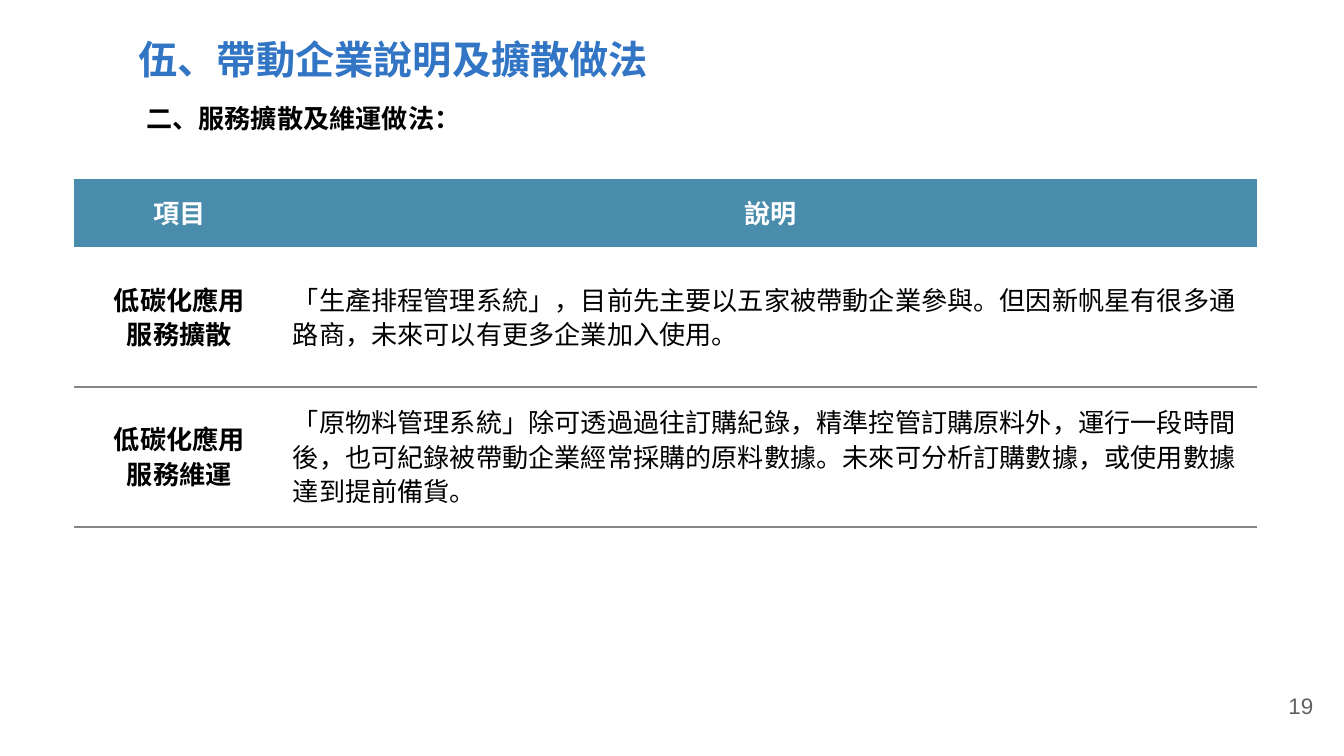
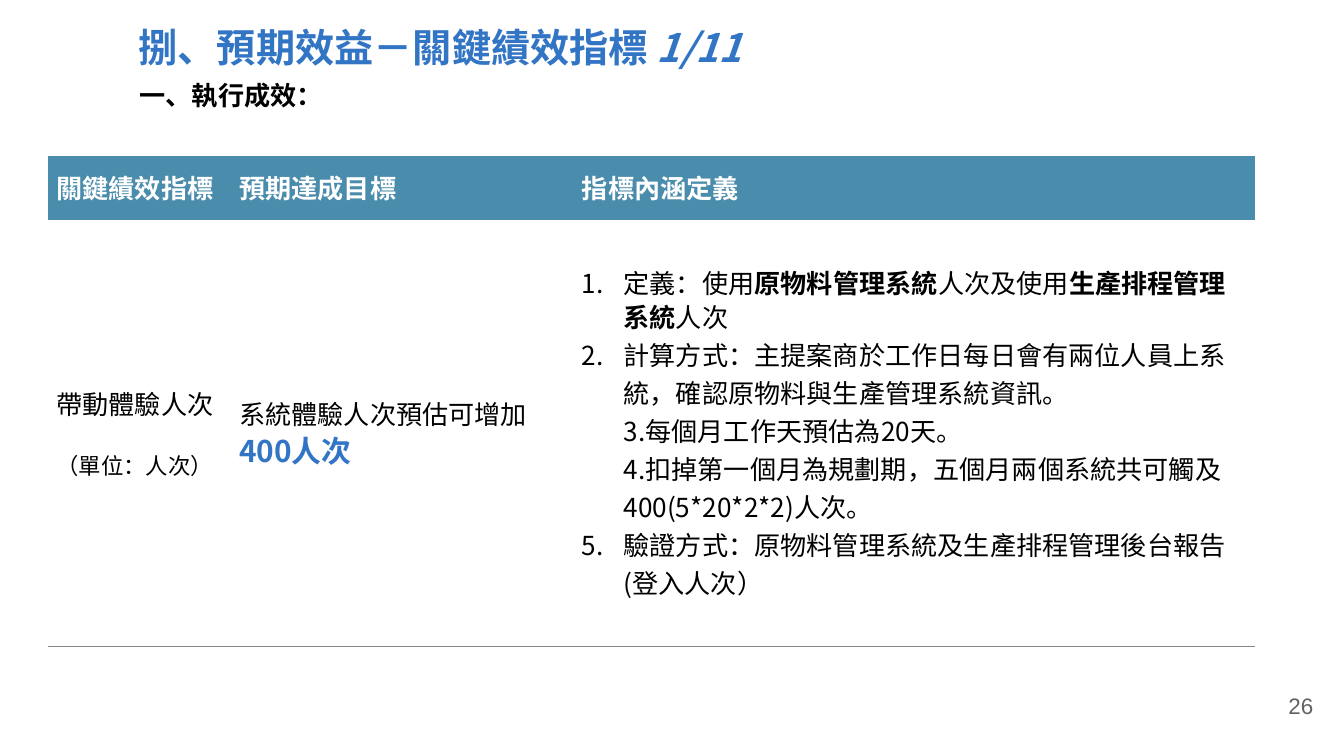
from lxml import etree
from pptx import Presentation
from pptx.dml.color import RGBColor
from pptx.enum.text import MSO_ANCHOR, MSO_AUTO_SIZE, PP_ALIGN
from pptx.oxml.ns import qn
from pptx.util import Inches, Pt

LEFT, CENTER, RIGHT = PP_ALIGN.LEFT, PP_ALIGN.CENTER, PP_ALIGN.RIGHT
MIDDLE = MSO_ANCHOR.MIDDLE
GROW = MSO_AUTO_SIZE.SHAPE_TO_FIT_TEXT

WIDTH = 10
HEIGHT = WIDTH * 9 / 16
TITLE_ONLY = 5
NO_TABLE_STYLE = "{2D5ABB26-0587-4C30-8999-92F81FD0307C}"
FONT, NUMBER_FONT = "Noto Sans CJK SC", "Arial"
BLUE, TEAL, RULE = "3275C5", "4A8CAC", "868686"
BLACK, WHITE, GREY = "000000", "FFFFFF", "636263"
TIGHT = 0.91
BOLD = {"bold": True}


def rgb(color):
    return RGBColor.from_string(color)


def place(sp, left, top, width, height):
    sp.left, sp.top = Inches(left), Inches(top)
    sp.width, sp.height = Inches(width), Inches(height)


def style_run(r, size=14, color=BLACK, bold=False, italic=False, font=FONT):
    r.font.size, r.font.name = Pt(size), font
    r.font.bold, r.font.italic = bold, italic
    r.font.color.rgb = rgb(color)
    ea = etree.SubElement(r.font._element, qn("a:ea"))
    ea.set("typeface", font)


def indent(p, left, first=0):
    pPr = p._p.get_or_add_pPr()
    pPr.set("marL", str(Inches(left)))
    pPr.set("indent", str(Inches(first)))


def number(p):
    bullet = etree.SubElement(p._p.get_or_add_pPr(), qn("a:buAutoNum"))
    bullet.set("type", "arabicPeriod")


def write(tf, paragraphs, align=LEFT, spacing=None, **style):
    """Fill a frame; a paragraph is a string or a list of (text, style) runs."""
    for i, runs in enumerate(paragraphs):
        p = tf.add_paragraph() if i else tf.paragraphs[0]
        p.alignment = align
        if spacing:
            p.line_spacing = spacing
        for text, own in [(runs, {})] if isinstance(runs, str) else runs:
            r = p.add_run()
            r.text = text
            style_run(r, **{**style, **own})


def rule_below(cell):
    tcPr = cell._tc.get_or_add_tcPr()
    ln = etree.Element(qn("a:lnB"), w=str(Pt(1)))
    fill = etree.SubElement(ln, qn("a:solidFill"))
    etree.SubElement(fill, qn("a:srgbClr"), val=RULE)
    tcPr.insert(0, ln)


class Deck:
    def __init__(self):
        self.prs = Presentation()
        self.prs.slide_width, self.prs.slide_height = Inches(WIDTH), Inches(HEIGHT)
        self.s = None

    def slide(self, title, box, page):
        self.s = self.prs.slides.add_slide(self.prs.slide_layouts[TITLE_ONLY])
        sp = self.s.shapes.title
        place(sp, *box)
        tf = sp.text_frame
        tf.word_wrap, tf.auto_size, tf.vertical_anchor = True, GROW, MIDDLE
        write(tf, [title], size=21, color=BLUE, bold=True)
        indent(tf.paragraphs[0], 0.94)
        self.text(page, (9.35, 5.1, 0.52, 0.42), align=RIGHT,
                  size=12, color=GREY, font=NUMBER_FONT)

    def text(self, text, box, **style):
        sp = self.s.shapes.add_textbox(*map(Inches, box))
        sp.text_frame.word_wrap = True
        write(sp.text_frame, [text], **style)

    def table(self, left, top, widths, heights, header, header_align):
        box = (left, top, sum(widths), sum(heights))
        frame = self.s.shapes.add_table(len(heights), len(widths), *map(Inches, box))
        table = frame.table
        table.horz_banding = False
        table._tbl.tblPr.find(qn("a:tableStyleId")).text = NO_TABLE_STYLE
        for column, width in zip(table.columns, widths):
            column.width = Inches(width)
        for row, height in zip(table.rows, heights):
            row.height = Inches(height)
        for i, label in enumerate(header):
            self.cell(table, 0, i, [label], fill=TEAL, align=header_align,
                      color=WHITE, bold=True)
        return table

    def cell(self, table, row, column, paragraphs, fill=None, **style):
        cell = table.cell(row, column)
        cell.vertical_anchor = MIDDLE
        cell.margin_left = cell.margin_right = Inches(0.06)
        cell.margin_top = cell.margin_bottom = Inches(0.05)
        if fill:
            cell.fill.solid()
            cell.fill.fore_color.rgb = rgb(fill)
        else:
            cell.fill.background()
        if row:
            rule_below(cell)
        write(cell.text_frame, paragraphs, **{"spacing": TIGHT, **style})
        return cell.text_frame.paragraphs


def diffusion_slide(deck):
    deck.slide("伍、帶動企業說明及擴散做法", (-0.01, 0.07, 5.89, 0.73), "19")
    deck.text("二、服務擴散及維運做法：", (0.99, 0.71, 2.87, 0.37), bold=True)
    table = deck.table(0.55, 1.33, [1.57, 7.23], [0.51, 1.04, 1.04],
                       ["項目", "說明"], CENTER)
    services = [
        ("服務擴散", "「生產排程管理系統」，目前先主要以五家被帶動企業參與。"
                 "但因新帆星有很多通路商，未來可以有更多企業加入使用。"),
        ("服務維運", "「原物料管理系統」除可透過過往訂購紀錄，精準控管訂購原料外，"
                 "運行一段時間後，也可紀錄被帶動企業經常採購的原料數據。"
                 "未來可分析訂購數據，或使用數據達到提前備貨。"),
    ]
    for row, (service, description) in enumerate(services, 1):
        deck.cell(table, row, 0, ["低碳化應用", service], align=CENTER, bold=True)
        deck.cell(table, row, 1, [description], fill=WHITE)


def indicator_slide(deck):
    title = [("捌、預期效益－關鍵績效指標 ", {}), ("1/11", {"italic": True})]
    deck.slide(title, (-0.01, -0.02, 6.39, 0.73), "26")
    deck.text("一、執行成效：", (0.94, 0.54, 2.87, 0.37), bold=True)
    table = deck.table(0.36, 1.16, [1.36, 2.55, 5.07], [0.48, 3.17],
                       ["關鍵績效指標", "預期達成目標", "指標內涵定義"], LEFT)
    name = deck.cell(table, 1, 0, ["帶動體驗人次", [("（單位：人次）", {"size": 12})]])
    name[0].space_after = Pt(16)
    deck.cell(table, 1, 1, [[
        ("系統體驗人次預估可增加", {}),
        ("400人次", {"size": 16, "color": BLUE, "bold": True}),
    ]])
    definition = [("定義：使用", {}), ("原物料管理系統", BOLD), ("人次及使用", {}),
                  ("生產排程管理系統", BOLD), ("人次", {})]
    items = deck.cell(table, 1, 2, [
        definition,
        "計算方式：主提案商於工作日每日會有兩位人員上系統，確認原物料與生產管理系統資訊。",
        "每個月工作天預估為20天。",
        "扣掉第一個月為規劃期，五個月兩個系統共可觸及400(5*20*2*2)人次。",
        "驗證方式：原物料管理系統及生產排程管理後台報告(登入人次）",
    ], spacing=None)
    items[0].line_spacing = TIGHT
    for p, first in zip(items, [-0.31, -0.31, 0, 0, -0.31]):
        indent(p, 0.31, first)
        number(p)


def main():
    deck = Deck()
    diffusion_slide(deck)
    indicator_slide(deck)
    deck.prs.save("out.pptx")


if __name__ == "__main__":
    main()
